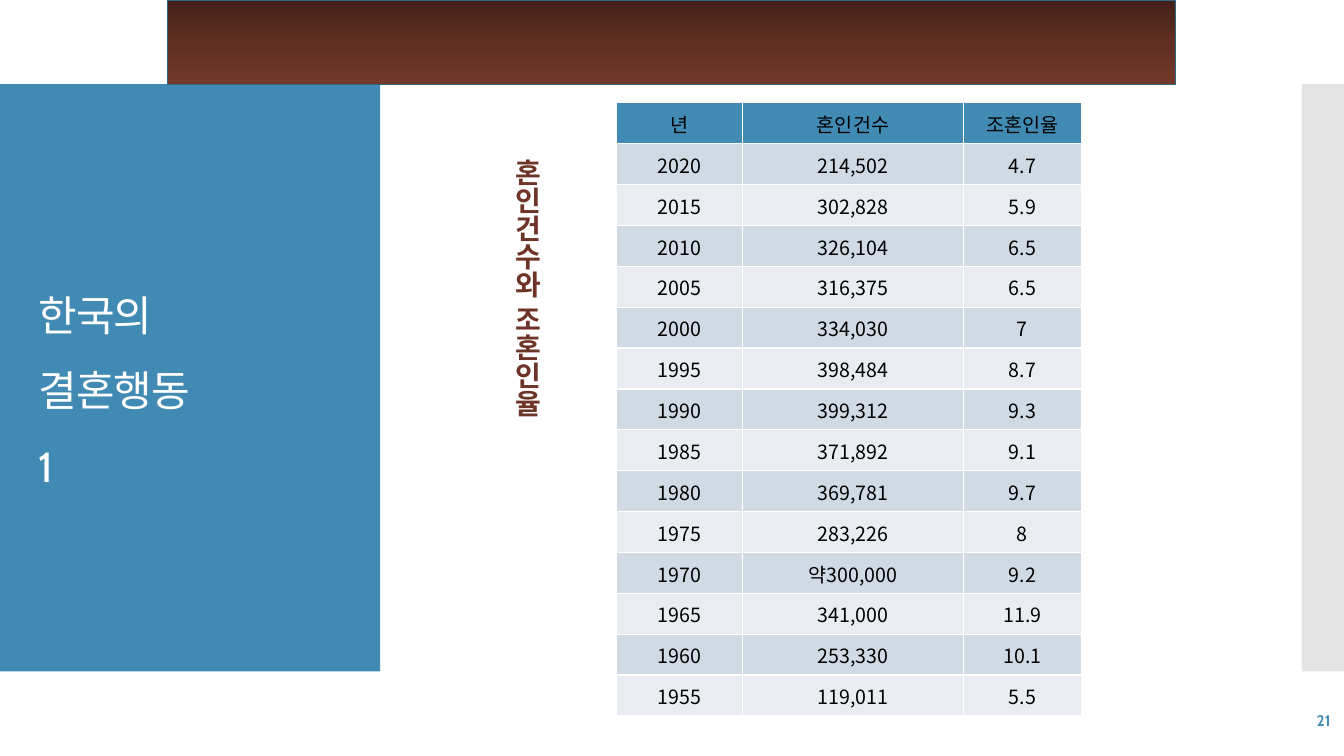
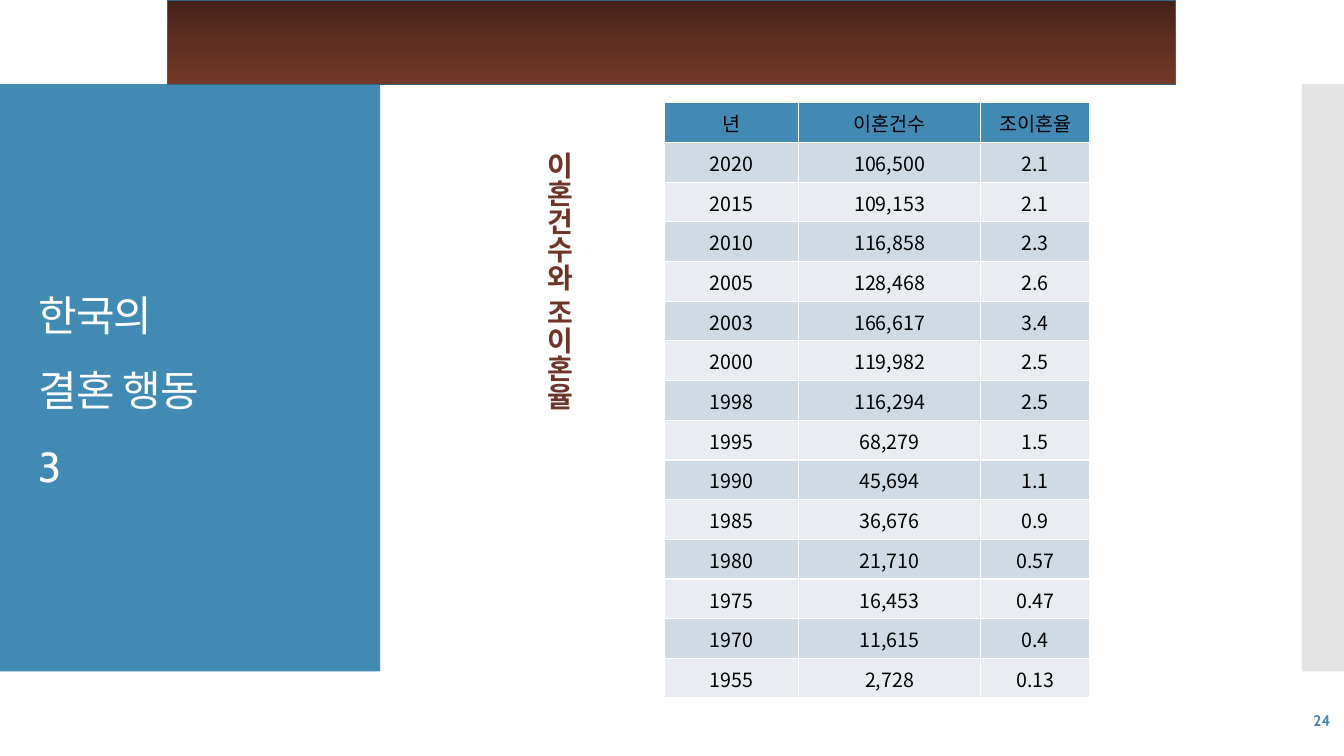
from copy import deepcopy

from lxml import etree
from pptx import Presentation
from pptx.dml.color import RGBColor
from pptx.enum.shapes import MSO_SHAPE
from pptx.enum.text import MSO_ANCHOR, MSO_AUTO_SIZE, PP_ALIGN
from pptx.oxml.ns import qn
from pptx.util import Cm, Pt

RECT = MSO_SHAPE.RECTANGLE
MIDDLE = MSO_ANCHOR.MIDDLE
NO_FIT, GROW = MSO_AUTO_SIZE.NONE, MSO_AUTO_SIZE.SHAPE_TO_FIT_TEXT
LEFT, CENTER, RIGHT = PP_ALIGN.LEFT, PP_ALIGN.CENTER, PP_ALIGN.RIGHT

COLORS = {
    "blue": "418AB3", "grey": "C8C8C8", "white": "FFFFFF", "black": "000000",
    "outline": "306684", "brown": "6E3428",
    "row_dark": "CFDAE5", "row_light": "E9EDF2",
}
BAND_GRADIENT = ["432118", "602F22", "723828"]
HEADING_FONT = "Cabin"
TABLE_FONT = "Noto Sans CJK KR"

# Boxes: left, top, width, height in cm
PANEL_BOX = (0, 2.12, 9.58, 14.8)
EDGE_BOX = (32.81, 2.12, 1.06, 14.8)
TITLE_BOX = (0.71, 3.12, 8.18, 12.78)
BAND_BOX = (4.23, 0, 25.4, 2.13)
NUMBER_BOX = (29.54, 17.65, 4.24, 1.02)

SLIDES = [
    {
        "title": ["한국의", "결혼행동", "1"],
        "label": "혼인건수와 조혼인율",
        "label_box": (12.47, 3.76, 1.37, 12.7),
        "number": "21",
        "table_at": (15.54, 2.59),
        "columns": [3.18, 5.56, 2.97],
        "row_height": 1.03,
        "rows": [
            ("년", "혼인건수", "조혼인율"),
            ("2020", "214,502", "4.7"),
            ("2015", "302,828", "5.9"),
            ("2010", "326,104", "6.5"),
            ("2005", "316,375", "6.5"),
            ("2000", "334,030", "7"),
            ("1995", "398,484", "8.7"),
            ("1990", "399,312", "9.3"),
            ("1985", "371,892", "9.1"),
            ("1980", "369,781", "9.7"),
            ("1975", "283,226", "8"),
            ("1970", "약300,000", "9.2"),
            ("1965", "341,000", "11.9"),
            ("1960", "253,330", "10.1"),
            ("1955", "119,011", "5.5"),
        ],
    },
    {
        "title": ["한국의", "결혼 행동", "3"],
        "label": "이혼건수와 조이혼율",
        "label_box": (13.28, 3.58, 1.37, 12.5),
        "number": "24",
        "table_at": (16.74, 2.59),
        "columns": [3.38, 4.6, 2.74],
        "row_height": 1,
        "rows": [
            ("년", "이혼건수", "조이혼율"),
            ("2020", "106,500", "2.1"),
            ("2015", "109,153", "2.1"),
            ("2010", "116,858", "2.3"),
            ("2005", "128,468", "2.6"),
            ("2003", "166,617", "3.4"),
            ("2000", "119,982", "2.5"),
            ("1998", "116,294", "2.5"),
            ("1995", "68,279", "1.5"),
            ("1990", "45,694", "1.1"),
            ("1985", "36,676", "0.9"),
            ("1980", "21,710", "0.57"),
            ("1975", "16,453", "0.47"),
            ("1970", "11,615", "0.4"),
            ("1955", "2,728", "0.13"),
        ],
    },
]


def rgb(name):
    return RGBColor.from_string(COLORS[name])


def in_cm(box):
    return [Cm(length) for length in box]


def style(paragraph, font_name, size, color, bold=False, align=LEFT):
    paragraph.alignment = align
    font = paragraph.font
    font.name, font.size, font.bold = font_name, Pt(size), bold
    font.color.rgb = rgb(color)


def add_rect(slide, box):
    rect = slide.shapes.add_shape(RECT, *in_cm(box))
    rect.shadow.inherit = False
    return rect


def add_side_panels(slide):
    """Blue title panel and translucent right edge, behind everything else."""
    for depth, (box, color) in enumerate([(PANEL_BOX, "blue"), (EDGE_BOX, "grey")]):
        panel = add_rect(slide, box)
        panel.fill.solid()
        panel.fill.fore_color.rgb = rgb(color)
        panel.line.fill.background()
        if color == "grey":
            tint = panel.element.find(".//" + qn("a:srgbClr"))
            etree.SubElement(tint, qn("a:alpha"), val="50000")
        slide.shapes.element.insert(2 + depth, panel.element)


def set_title(slide, lines, box):
    title = slide.shapes.title
    title.left, title.top, title.width, title.height = in_cm(box)
    frame = title.text_frame
    frame.text = "\v".join(lines)
    frame.vertical_anchor = MIDDLE
    frame.auto_size = NO_FIT
    paragraph = frame.paragraphs[0]
    paragraph.line_spacing = 1.5
    style(paragraph, HEADING_FONT, 30, "white")
    # Slightly tightened letter spacing
    title.element.find(".//" + qn("a:defRPr")).set("spc", "-60")


def add_data_table(slide, rows, position, columns, row_height):
    box = (*position, sum(columns), row_height * len(rows))
    table = slide.shapes.add_table(len(rows), len(columns), *in_cm(box)).table
    for column, width in zip(table.columns, columns):
        column.width = Cm(width)
    for r, values in enumerate(rows):
        table.rows[r].height = Cm(row_height)
        fill = "blue" if r == 0 else ("row_light", "row_dark")[r % 2]
        for c, value in enumerate(values):
            cell = table.cell(r, c)
            cell.text = value
            cell.vertical_anchor = MIDDLE
            cell.margin_left = cell.margin_right = cell.margin_top = Cm(0.03)
            cell.margin_bottom = 0
            cell.fill.solid()
            cell.fill.fore_color.rgb = rgb(fill)
            style(cell.text_frame.paragraphs[0], TABLE_FONT, 14, "black", align=CENTER)


def add_top_band(slide, box):
    band = add_rect(slide, box)
    band.fill.gradient()
    band.fill.gradient_angle = 270
    # The default gradient has two stops; add a middle one
    stops = band.element.find(".//" + qn("a:gsLst"))
    stops.insert(1, deepcopy(stops[0]))
    for i, (stop, color) in enumerate(zip(band.fill.gradient_stops, BAND_GRADIENT)):
        stop.position = i / 2
        stop.color.rgb = RGBColor.from_string(color)
    band.line.color.rgb = rgb("outline")
    band.line.width = Pt(0.85)


def add_text(slide, text, box, size, color, align=LEFT):
    text_box = slide.shapes.add_textbox(*in_cm(box))
    frame = text_box.text_frame
    frame.word_wrap = True
    frame.text = text
    style(frame.paragraphs[0], HEADING_FONT, size, color, bold=True, align=align)
    return text_box


def add_vertical_label(slide, text, box):
    label = add_text(slide, text, box, 20, "brown")
    label.text_frame.auto_size = GROW
    label.element.find(".//" + qn("a:bodyPr")).set("vert", "eaVert")


def add_slide_number(slide, number, box):
    number_box = add_text(slide, number, box, 11, "blue", RIGHT)
    number_box.text_frame.vertical_anchor = MIDDLE


def build_table_slide(deck, content):
    slide = deck.slides.add_slide(deck.slide_layouts.get_by_name("Title Only"))
    add_side_panels(slide)
    set_title(slide, content["title"], TITLE_BOX)
    add_data_table(slide, content["rows"], content["table_at"],
                   content["columns"], content["row_height"])
    add_top_band(slide, BAND_BOX)
    add_vertical_label(slide, content["label"], content["label_box"])
    add_slide_number(slide, content["number"], NUMBER_BOX)


def main():
    deck = Presentation()
    deck.slide_width, deck.slide_height = Cm(33.87), Cm(19.05)
    for content in SLIDES:
        build_table_slide(deck, content)
    deck.save("out.pptx")


if __name__ == "__main__":
    main()
